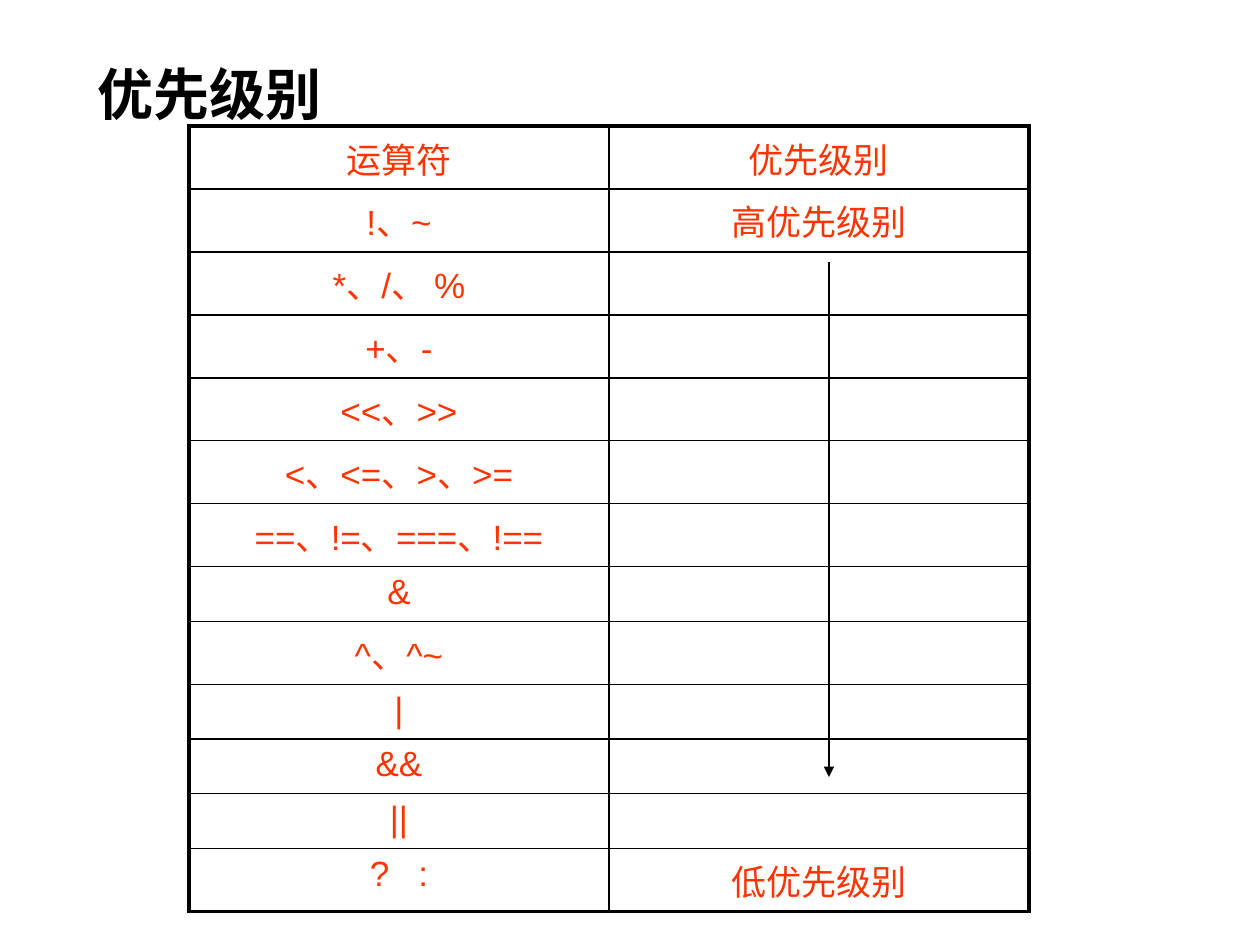
from lxml.etree import SubElement
from pptx import Presentation
from pptx.dml.color import RGBColor as RGB
from pptx.enum.shapes import MSO_CONNECTOR as CONN
from pptx.enum.text import PP_ALIGN as ALIGN
from pptx.oxml.ns import qn
from pptx.util import Emu, Pt

PX = 914400 // 126
COLORS = {"ink": "000000", "operator": "FF3300"}
THIN, THICK = 1, 2.25
TALL, SHORT = 63, 52
OPERATORS = ["运算符", "!、~", "*、/、 %", "+、-", "<<、>>", "<、<=、>、>=",
             "==、!=、===、!==", "&", "^、^~", "|", "&&", "||", "?   :"]
LEVELS = {0: "优先级别", 1: "高优先级别", len(OPERATORS) - 1: "低优先级别"}


def px(n):
    return Emu(n * PX)


def write(p, text, font, size, color, bold=False):
    p.font.name = font
    p.font.size = Pt(size)
    p.font.bold = bold
    p.font.color.rgb = RGB.from_string(COLORS[color])
    p.space_before = Pt(size * 0.2)
    p.text = text


def add_title(slide, text):
    tf = slide.shapes.add_textbox(px(85), px(53), px(1071), px(72)).text_frame
    tf.word_wrap = True
    write(tf.paragraphs[0], text, "Calibri", 32, "ink", bold=True)


def set_borders(cell, widths):
    pr = cell._tc.get_or_add_tcPr()
    for side, width in widths.items():
        ln = SubElement(pr, qn(f"a:ln{side}"), w=str(Pt(width)))
        fill = SubElement(ln, qn("a:solidFill"))
        SubElement(fill, qn("a:srgbClr"), val=COLORS["ink"])


def add_priority_table(slide):
    last = len(OPERATORS) - 1
    heights = [TALL if "、" in text or i in LEVELS else SHORT
               for i, text in enumerate(OPERATORS)]
    table = slide.shapes.add_table(last + 1, 2, px(189), px(126),
                                   px(840), px(sum(heights))).table
    table.first_row = table.horz_banding = False
    for i, (operator, height) in enumerate(zip(OPERATORS, heights)):
        table.rows[i].height = px(height)
        for j, text in enumerate((operator, LEVELS.get(i, ""))):
            cell = table.cell(i, j)
            p = cell.text_frame.paragraphs[0]
            write(p, text, "Arial", 20, "operator")
            p.alignment = ALIGN.CENTER
            set_borders(cell, {"L": THIN if j else THICK,
                               "R": THICK if j else THIN,
                               "T": THIN if i else THICK,
                               "B": THICK if i == last else THIN})
            cell.fill.background()


def add_arrow(slide, x, top, bottom):
    arrow = slide.shapes.add_connector(CONN.STRAIGHT, px(x), px(top), px(x), px(bottom))
    arrow.line.width = Pt(0.75)
    arrow.line.color.rgb = RGB.from_string(COLORS["ink"])
    SubElement(arrow.line._get_or_add_ln(), qn("a:tailEnd"), type="triangle")
    SubElement(arrow._element.spPr, qn("a:effectLst"))


def main():
    prs = Presentation()
    prs.slide_width, prs.slide_height = px(1260), px(945)
    slide = prs.slides.add_slide(prs.slide_layouts[6])
    add_title(slide, "优先级别")
    add_priority_table(slide)
    add_arrow(slide, 829, 262, 777)
    prs.save("out.pptx")


if __name__ == "__main__":
    main()
